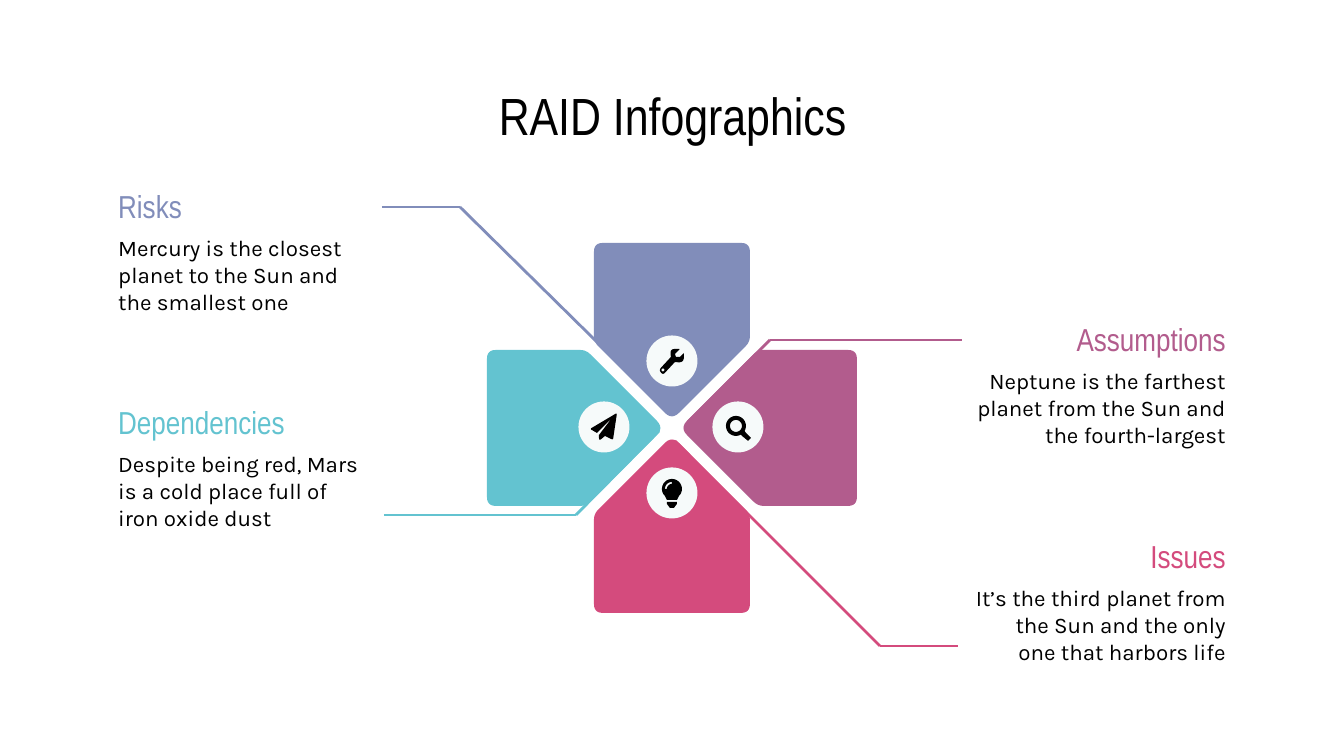
from math import cos, hypot, radians, sin

from lxml.etree import SubElement
from pptx import Presentation
from pptx.dml.color import RGBColor
from pptx.enum.shapes import MSO_CONNECTOR, MSO_SHAPE
from pptx.enum.text import MSO_ANCHOR, PP_ALIGN
from pptx.oxml.ns import qn
from pptx.util import Emu, Pt

WIDTH, HEIGHT = 1344, 756
PX = 914400 * 10 / WIDTH
COLORS = {
    "risks": "818DBA", "assumptions": "B25C8D",
    "dependencies": "63C3D0", "issues": "D44B7D",
    "badge": "F6FAFA", "black": "000000",
}
HEADING_FONT, BODY_FONT = "Arial Narrow", "Karla"
CENTER = (672, 428)
BADGE_SIZE = 51
TEXT_WIDTH, HEADING_HEIGHT, BODY_HEIGHT, BODY_OFFSET = 277, 52, 113, 41
LEFT_COLUMN, RIGHT_COLUMN = 105, 962


def px(length):
    return Emu(round(length * PX))


def arc(x, y, radius, start=0, end=360, step=10):
    return [(x + radius * cos(radians(a)), y + radius * sin(radians(a)))
            for a in range(start, end + 1, step)]


def rounded(corners, steps=6):
    """Outline of (x, y, cut) corners, each eased by a quadratic curve."""
    points = []
    for i, (x, y, cut) in enumerate(corners):
        ends = []
        for nx, ny, _ in (corners[i - 1], corners[(i + 1) % len(corners)]):
            share = cut / hypot(nx - x, ny - y)
            ends.append((x + (nx - x) * share, y + (ny - y) * share))
        (ax, ay), (bx, by) = ends
        for t in [k / steps for k in range(steps + 1)] if cut else [0]:
            a, b, c = (1 - t) ** 2, 2 * t * (1 - t), t * t
            points.append((a * ax + b * x + c * bx, a * ay + b * y + c * by))
    return points


def turned(points, quarters):
    for _ in range(quarters):
        points = [(-y, x) for x, y in points]
    return points


PETAL = rounded([(-78, -185, 9), (78, -185, 9), (78, -86, 6), (0, -8, 10), (-78, -86, 6)])
ICONS = {
    "wrench": [
        rounded([(8, -12, 1), (-2, -12, 5), (-1, -4, 1), (-13, 9, 3), (-9, 14, 3),
                 (3, 1, 1), (12, 2, 6), (12, -8, 1), (8, -4, 0), (4, -4, 0), (3, -7, 0)]),
        arc(-9, 9, 1.5),
    ],
    "magnifier": [
        arc(-2, -1, 10, 60, 390)
        + [(8, 6), (12, 10), (13, 11), (12, 12), (10, 14), (9, 13), (4, 9)],
        arc(-2, -1, 6),
    ],
    "plane": [
        rounded([(13, -14, 2), (-14, 2, 2), (-7, 6, 0), (8, -9, 1), (-5, 8, 0),
                 (-5, 14, 3), (1, 9, 0), (9, 13, 2)]),
    ],
    "bulb": [
        arc(0, -4, 10, 150, 390) + [(7, 3), (5, 7), (-5, 7), (-7, 3)],
        arc(0, -4, 7, 180, 270) + arc(0, -4, 5, 180, 270)[::-1],
        [(-5, 9), (5, 9), (5, 11), (2, 15), (-2, 15), (-5, 11)],
    ],
}

# name, body, column, heading top, quarter turns, leader points, badge center, icon
ITEMS = [
    ("Risks", "Mercury is the closest planet to the Sun and the smallest one",
     LEFT_COLUMN, 180, 0, [(382, 207), (460, 207), (667, 411)], (672, 361), "wrench"),
    ("Assumptions", "Neptune is the farthest planet from the Sun and the fourth-largest",
     RIGHT_COLUMN, 313, 1, [(962, 340), (770, 340), (688, 422)], (738, 427), "magnifier"),
    ("Dependencies", "Despite being red, Mars is a cold place full of iron oxide dust",
     LEFT_COLUMN, 396, 3, [(384, 515), (576, 515), (659, 431)], (604, 427), "plane"),
    ("Issues", "It’s the third planet from the Sun and the only one that harbors life",
     RIGHT_COLUMN, 530, 2, [(958, 646), (880, 646), (675, 441)], (672, 493), "bulb"),
]


class Painter:
    def __init__(self, page):
        self.shapes = page.shapes

    def text(self, text, left, top, width, height, *, size, font,
             color="black", align=PP_ALIGN.LEFT, anchor=MSO_ANCHOR.MIDDLE):
        box = self.shapes.add_textbox(px(left), px(top), px(width), px(height))
        frame = box.text_frame
        frame.word_wrap = True
        frame.vertical_anchor = anchor
        frame.margin_left = frame.margin_right = Pt(7.2)
        frame.margin_top = frame.margin_bottom = Pt(7.2)
        para = frame.paragraphs[0]
        para.alignment = align
        span = para.add_run()
        span.text = text
        span.font.size = Pt(size)
        span.font.name = font
        span.font.color.rgb = RGBColor.from_string(COLORS[color])

    def paint(self, shape, color):
        shape.shadow.inherit = False
        shape.fill.solid()
        shape.fill.fore_color.rgb = RGBColor.from_string(COLORS[color])
        shape.line.fill.background()

    def outline(self, contours, center, color):
        """Fill closed contours whose points are relative to center."""
        builder = None
        for contour in contours:
            points = [(px(center[0] + x), px(center[1] + y)) for x, y in contour]
            if builder is None:
                builder = self.shapes.build_freeform(*points[0])
            else:
                builder.move_to(*points[0])
            builder.add_line_segments(points[1:], close=True)
        self.paint(builder.convert_to_shape(), color)

    def badge(self, center, icon):
        left, top = (value - BADGE_SIZE / 2 for value in center)
        circle = self.shapes.add_shape(
            MSO_SHAPE.OVAL, px(left), px(top), px(BADGE_SIZE), px(BADGE_SIZE))
        self.paint(circle, "badge")
        self.outline(ICONS[icon], center, "black")

    def leader(self, points, color):
        for start, end in zip(points, points[1:]):
            line = self.shapes.add_connector(
                MSO_CONNECTOR.STRAIGHT, *map(px, start + end))
            line.line.color.rgb = RGBColor.from_string(COLORS[color])
            line.line.width = Pt(1.5)
            SubElement(line._element.spPr, qn("a:effectLst"))


def main():
    deck = Presentation()
    deck.slide_width, deck.slide_height = px(WIDTH), px(HEIGHT)
    painter = Painter(deck.slides.add_slide(deck.slide_layouts[6]))
    painter.text("RAID Infographics", 105, 79, 1135, 71, size=28,
                 font=HEADING_FONT, align=PP_ALIGN.CENTER)
    for name, body, left, top, quarters, leader, badge, icon in ITEMS:
        color = name.lower()
        align = PP_ALIGN.LEFT if left == LEFT_COLUMN else PP_ALIGN.RIGHT
        painter.text(body, left, top + BODY_OFFSET, TEXT_WIDTH, BODY_HEIGHT,
                     size=12, font=BODY_FONT, align=align, anchor=MSO_ANCHOR.TOP)
        painter.text(name, left, top, TEXT_WIDTH, HEADING_HEIGHT,
                     size=17, font=HEADING_FONT, color=color, align=align)
        painter.outline([turned(PETAL, quarters)], CENTER, color)
        painter.leader(leader, color)
        painter.badge(badge, icon)
    deck.save("out.pptx")


if __name__ == "__main__":
    main()
